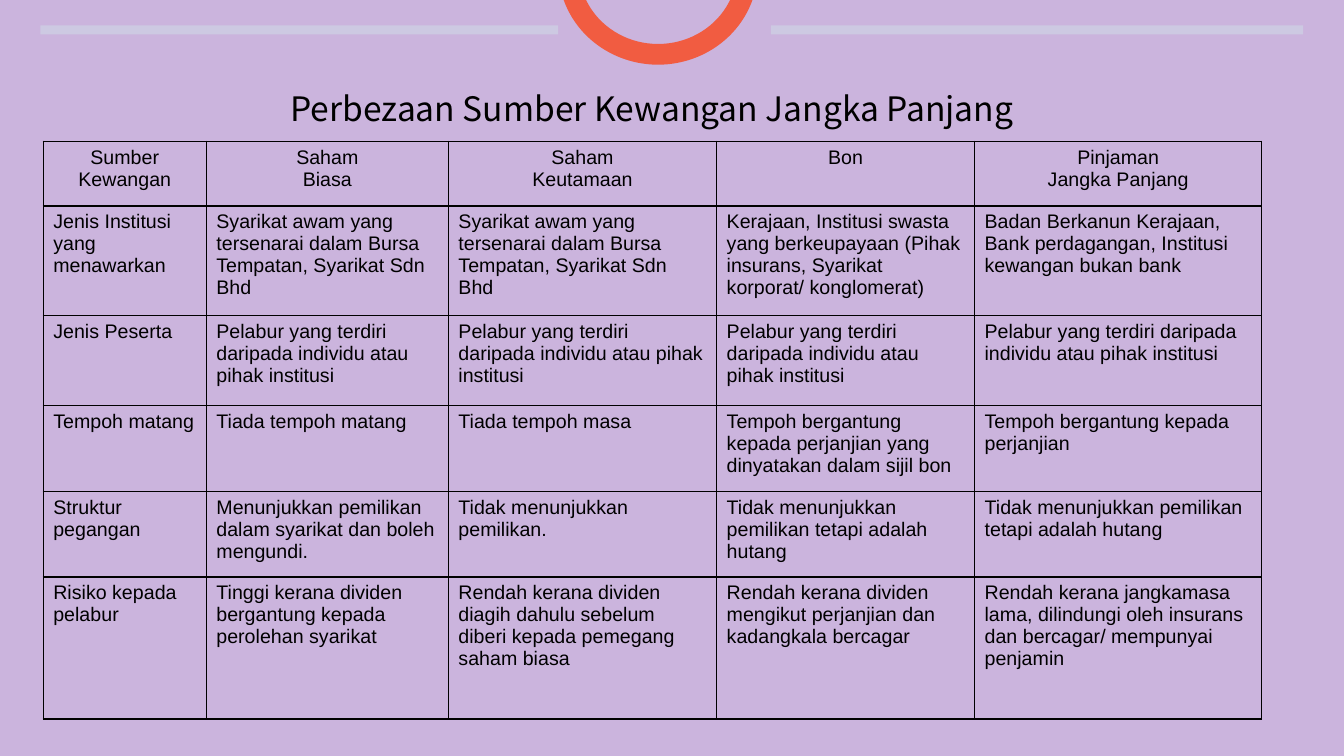
from dataclasses import dataclass

from lxml.etree import SubElement
from pptx import Presentation
from pptx.dml.color import RGBColor
from pptx.enum.shapes import MSO_SHAPE as Shape
from pptx.enum.text import MSO_ANCHOR as Anchor, MSO_AUTO_SIZE as Fit, PP_ALIGN as Align
from pptx.oxml import parse_xml
from pptx.oxml.ns import nsdecls, qn
from pptx.util import Cm, Pt


@dataclass(frozen=True)
class Theme:
    back: str = "CBB4DD"
    ring: str = "FB481E"
    bar: str = "CFDEE8"
    ink: str = "000000"
    head: int = 24
    body: int = 14


theme = Theme()


def write(frame, text, size=theme.body, font="Arial", align=Align.LEFT):
    frame.word_wrap = True
    frame.text = text
    for para in frame.paragraphs:
        para.alignment = align
        para.font.size = Pt(size)
        para.font.name = font
        para.font.color.rgb = RGBColor.from_string(theme.ink)


def draw(kind, box, color, alpha):
    """Add a borderless shape whose fill is alpha percent opaque."""
    shape = slide.shapes.add_shape(kind, *map(Cm, box))
    shape.shadow.inherit = False
    shape.line.fill.background()
    shape.fill.solid()
    shape.fill.fore_color.rgb = RGBColor.from_string(color)
    tint = shape.fill._xPr.find(qn("a:solidFill"))[0]
    SubElement(tint, qn("a:alpha"), val=str(alpha * 1000))
    return shape


deck = Presentation()
deck.slide_width, deck.slide_height = Cm(33.87), Cm(19.05)
slide = deck.slides.add_slide(deck.slide_layouts[5])
fill = slide.background.fill
fill.solid()
fill.fore_color.rgb = RGBColor.from_string(theme.back)

# Ring and bars along the top
ring = draw(Shape.DONUT, (14.07, -3.2, 5.03, 4.83), theme.ring, 81)
ring.adjustments[0] = 0.108
for left, width in ((1.02, 13.05), (19.43, 13.41)):
    draw(Shape.RECTANGLE, (left, 0.64, width, 0.23), theme.bar, 52)

# Title
title = slide.shapes.title
title.left, title.top, title.width, title.height = map(Cm, (5.05, 2.08, 22.76, 1.27))
frame = title.text_frame
write(frame, "Perbezaan Sumber Kewangan Jangka Panjang",
      size=theme.head, font="Noto Sans CJK SC", align=Align.CENTER)
frame.vertical_anchor = Anchor.TOP
frame.auto_size = Fit.SHAPE_TO_FIT_TEXT

# Comparison table
listed = "Syarikat awam yang tersenarai dalam Bursa Tempatan, Syarikat Sdn Bhd"
buyers = "Pelabur yang terdiri daripada individu atau pihak institusi"
debt = "Tidak menunjukkan pemilikan tetapi adalah hutang"
rows = [
    ["Sumber Kewangan", "Saham\nBiasa", "Saham\nKeutamaan", "Bon",
     "Pinjaman\nJangka Panjang"],
    ["Jenis Institusi yang menawarkan", listed, listed,
     "Kerajaan, Institusi swasta yang berkeupayaan (Pihak insurans, "
     "Syarikat korporat/ konglomerat)",
     "Badan Berkanun Kerajaan, Bank perdagangan, Institusi kewangan bukan bank"],
    ["Jenis Peserta"] + [buyers] * 4,
    ["Tempoh matang", "Tiada tempoh matang", "Tiada tempoh masa",
     "Tempoh bergantung kepada perjanjian yang dinyatakan dalam sijil bon",
     "Tempoh bergantung kepada perjanjian"],
    ["Struktur pegangan",
     "Menunjukkan pemilikan dalam syarikat dan boleh mengundi.",
     "Tidak menunjukkan pemilikan.", debt, debt],
    ["Risiko kepada pelabur",
     "Tinggi kerana dividen bergantung kepada perolehan syarikat",
     "Rendah kerana dividen diagih dahulu sebelum diberi kepada pemegang saham biasa",
     "Rendah kerana dividen mengikut perjanjian dan kadangkala bercagar",
     "Rendah kerana jangkamasa lama, dilindungi oleh insurans dan bercagar/ "
     "mempunyai penjamin"],
]
widths = (4.11, 6.1, 6.76, 6.5, 7.24)
heights = (1.63, 2.77, 2.26, 2.16, 2.16, 3.58)
table = slide.shapes.add_table(len(rows), len(widths), Cm(1.09), Cm(3.56),
                               Cm(sum(widths)), Cm(sum(heights))).table
table.first_row = table.horz_banding = False
for col, width in zip(table.columns, widths):
    col.width = Cm(width)
for r, (texts, height) in enumerate(zip(rows, heights)):
    table.rows[r].height = Cm(height)
    for c, text in enumerate(texts):
        cell = table.cell(r, c)
        write(cell.text_frame, text, align=Align.LEFT if r else Align.CENTER)
        cell.fill.background()
        props = cell._tc.get_or_add_tcPr()
        for i, side in enumerate("LRTB"):
            props.insert(i, parse_xml(
                f'<a:ln{side} {nsdecls("a")} w="{Pt(1)}"><a:solidFill>'
                f'<a:srgbClr val="{theme.ink}"/></a:solidFill></a:ln{side}>'))

deck.save("out.pptx")
